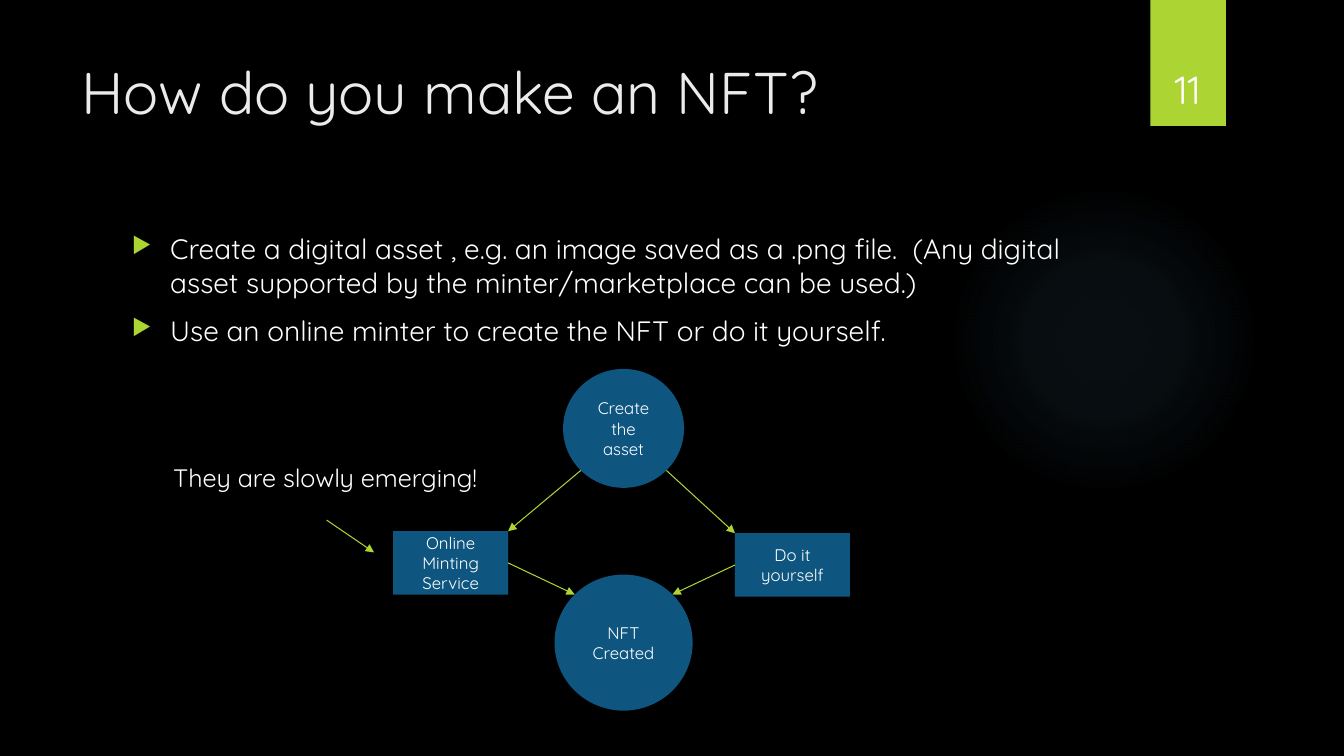
from lxml import etree
from pptx import Presentation
from pptx.dml.color import RGBColor
from pptx.enum.shapes import MSO_CONNECTOR, MSO_SHAPE
from pptx.enum.text import MSO_ANCHOR as Anchor, MSO_AUTO_SIZE as AutoSize, PP_ALIGN as Align
from pptx.oxml import parse_xml
from pptx.oxml.ns import nsdecls, qn
from pptx.util import Inches, Pt

COLORS = {"background": "000000", "title": "EBEBEB", "text": "FFFFFF",
          "accent": "ACD433", "node": "0E5580", "glow": "7AC4F0"}
FONT = "Quicksand"
CORNER = 0.5 - 0.5 ** 0.5 / 2


def color(name):
    return RGBColor.from_string(COLORS[name])


def inches(box):
    return [Inches(length) for length in box]


def write(frame, lines, size, align=Align.LEFT, anchor=Anchor.TOP, tint="text", wrap=True):
    frame.word_wrap = wrap
    frame.auto_size = AutoSize.NONE
    frame.vertical_anchor = anchor
    for index, line in enumerate(lines):
        para = frame.add_paragraph() if index else frame.paragraphs[0]
        para.alignment = align
        span = para.add_run()
        span.text = line
        span.font.name = FONT
        span.font.size = Pt(size)
        span.font.color.rgb = color(tint)


def add_text(page, box, lines, size, **style):
    frame = page.shapes.add_textbox(*inches(box)).text_frame
    write(frame, lines, size, **style)
    return frame


def add_figure(page, kind, box, fill):
    figure = page.shapes.add_shape(kind, *inches(box))
    figure.shadow.inherit = False
    figure.fill.solid()
    figure.fill.fore_color.rgb = color(fill)
    figure.line.fill.background()
    return figure


def add_node(page, kind, box, lines):
    node = add_figure(page, kind, box, "node")
    write(node.text_frame, lines, 12, Align.CENTER, Anchor.MIDDLE)
    return node


def add_arrow(page, start, end):
    arrow = page.shapes.add_connector(MSO_CONNECTOR.STRAIGHT, *start, *end)
    arrow.line.color.rgb = color("accent")
    arrow.line.width = Pt(0.75)
    etree.SubElement(arrow.line._get_or_add_ln(), qn("a:tailEnd"), type="triangle")
    etree.SubElement(arrow._element.spPr, qn("a:effectLst"))
    return arrow


def point(node, across, down):
    return (round(node.left + node.width * across), round(node.top + node.height * down))


def add_glow(page, box):
    glow = add_figure(page, MSO_SHAPE.OVAL, box, "glow")
    stops = "".join(
        f'<a:gs pos="{place * 1000}"><a:srgbClr val="{COLORS["glow"]}">'
        f'<a:alpha val="{alpha * 1000}"/></a:srgbClr></a:gs>'
        for place, alpha in ((0, 7), (36, 6), (69, 0)))
    gradient = parse_xml(
        f'<a:gradFill {nsdecls("a")} rotWithShape="1"><a:gsLst>{stops}</a:gsLst>'
        '<a:path path="circle"><a:fillToRect l="50000" t="50000" r="50000" b="50000"/>'
        '</a:path></a:gradFill>')
    properties = glow._element.spPr
    properties.replace(properties.find(qn("a:solidFill")), gradient)


def add_title(page, box, words):
    title = page.shapes.title
    title.left, title.top, title.width, title.height = inches(box)
    write(title.text_frame, [words], 42, tint="title")


def add_page_number(page, box, number):
    left, top, width, height = box
    add_figure(page, MSO_SHAPE.RECTANGLE, box, "accent")
    add_text(page, (left - 0.09, top + 0.32, width + 0.17, 0.84), [number], 28,
             align=Align.CENTER, anchor=Anchor.BOTTOM)


def add_bullets(page, box, lines):
    frame = add_text(page, box, lines, 20)
    for para in frame.paragraphs:
        para.space_before = Pt(10)
        properties = para._p.get_or_add_pPr()
        properties.set("marL", str(Inches(0.38)))
        properties.set("indent", str(-Inches(0.38)))
        tint = etree.SubElement(properties, qn("a:buClr"))
        etree.SubElement(tint, qn("a:srgbClr"), val=COLORS["accent"])
        etree.SubElement(properties, qn("a:buSzPct"), val="80000")
        etree.SubElement(properties, qn("a:buChar"), char="▶")


def add_minting_flow(page, box):
    left, top, width, height = box
    middle = left + width / 2 + 0.02
    step_width, step_height = 1.14, 0.63
    asset = add_node(page, MSO_SHAPE.OVAL, (middle - 0.6, top, 1.2, 1.18),
                     ["Create", "the asset"])
    service = add_node(page, MSO_SHAPE.RECTANGLE, (left, top + 1.61, step_width, step_height),
                       ["Online Minting Service"])
    yourself = add_node(page, MSO_SHAPE.RECTANGLE,
                        (left + width - step_width, top + 1.63, step_width, step_height),
                        ["Do it", "yourself"])
    token = add_node(page, MSO_SHAPE.OVAL, (middle - 0.685, top + height - 1.35, 1.37, 1.35),
                     ["NFT", "Created"])
    for step, side, inner, edge in ((service, 3, 1, CORNER), (yourself, 1, 0, 1 - CORNER)):
        add_arrow(page, point(asset, edge, 1 - CORNER), point(step, inner, 0))
        arrow = add_arrow(page, point(step, inner, 0.5), point(token, edge, CORNER))
        arrow.begin_connect(step, side)


def add_remark(page, box, words):
    left, top, width, height = box
    add_text(page, box, [words], 18, wrap=False)
    tail = (left + 1.62, top + 0.62)
    add_arrow(page, inches(tail), inches((tail[0] + 0.47, tail[1] + 0.32)))


def main():
    deck = Presentation()
    deck.slide_width, deck.slide_height = inches((13.33, 7.5))
    page = deck.slides.add_slide(deck.slide_layouts[5])
    page.background.fill.solid()
    page.background.fill.fore_color.rgb = color("background")
    add_glow(page, (9.41, 1.83, 3.08, 3.08))
    add_title(page, (0.71, 0.5, 10.29, 1.53), "How do you make an NFT?")
    add_page_number(page, (11.41, 0, 0.75, 1.25), "11")
    add_bullets(page, (1.21, 2.25, 9.78, 4.59), [
        "Create a digital asset , e.g. an image saved as a .png file.  (Any digital asset "
        "supported by the minter/marketplace can be used.)",
        "Use an online minter to create the NFT or do it yourself."])
    add_minting_flow(page, (3.9, 3.66, 4.53, 3.39))
    add_remark(page, (1.62, 4.54, 3.36, 0.4), "They are slowly emerging!")
    deck.save("out.pptx")


if __name__ == "__main__":
    main()
